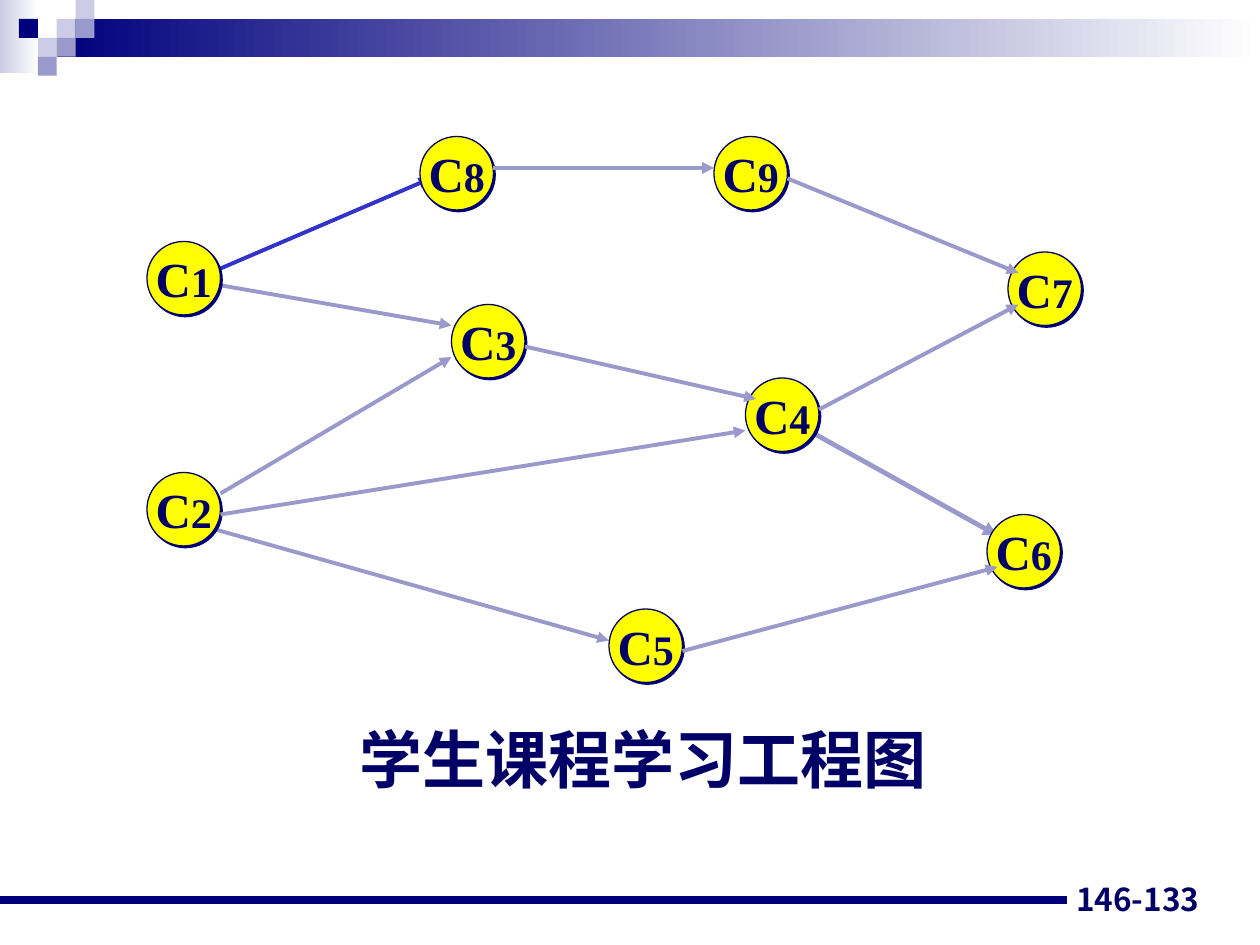
from lxml import etree
from pptx import Presentation
from pptx.dml.color import RGBColor
from pptx.enum.shapes import MSO_CONNECTOR, MSO_SHAPE
from pptx.enum.text import MSO_ANCHOR, MSO_AUTO_SIZE, PP_ALIGN
from pptx.oxml.ns import qn
from pptx.util import Emu, Pt

RECT, OVAL = MSO_SHAPE.RECTANGLE, MSO_SHAPE.OVAL
STRAIGHT = MSO_CONNECTOR.STRAIGHT
TOP, MIDDLE, BOTTOM = MSO_ANCHOR.TOP, MSO_ANCHOR.MIDDLE, MSO_ANCHOR.BOTTOM
LEFT, CENTER, RIGHT = PP_ALIGN.LEFT, PP_ALIGN.CENTER, PP_ALIGN.RIGHT
GROW = MSO_AUTO_SIZE.SHAPE_TO_FIT_TEXT

PX = 7620  # 120 px to the inch
SERIF, SANS = "Times New Roman", "Noto Sans CJK JP"
NAVY, INK, LILAC, PALE = "00007D", "000066", "9999CC", "CCCCE6"
BLUE, YELLOW, WHITE = "3333CC", "FFFF00", "FFFFFF"
CELL, NODE = 18, 70

# Header squares: column, row, colour
SQUARES = [(3, 1, PALE), (4, 0, PALE), (4, 1, LILAC), (2, 2, PALE),
           (1, 1, NAVY), (3, 2, LILAC), (2, 3, LILAC)]

# Courses: number, left, top
NODES = [(8, 400, 130), (3, 430, 290), (5, 580, 580), (4, 710, 360),
         (9, 680, 130), (6, 940, 490), (7, 960, 240), (1, 140, 230),
         (2, 140, 450)]

# Arrows: x1, y1, x2, y2, colour, width
EDGES_BEHIND = [(770, 410, 950, 510, LILAC, 2.75),
                (190, 500, 580, 610, LILAC, 2.25),
                (210, 470, 430, 340, LILAC, 2.25),
                (200, 270, 430, 310, LILAC, 2.25),
                (200, 260, 410, 170, BLUE, 2.25)]
EDGES_FRONT = [(470, 160, 680, 160, LILAC, 2.25),
               (500, 330, 720, 380, LILAC, 2.25),
               (210, 490, 710, 410, LILAC, 2.25),
               (750, 170, 970, 260, LILAC, 2.25),
               (780, 390, 970, 290, LILAC, 2.25),
               (650, 620, 950, 540, LILAC, 2.25)]


def px(*values):
    return [Emu(v * PX) for v in values]


def rgb(code):
    return RGBColor.from_string(code)


def add_rect(s, x, y, w, h, *colors):
    """Borderless rectangle: one colour is solid, two make a gradient."""
    sp = s.shapes.add_shape(RECT, *px(x, y, w, h))
    sp.shadow.inherit = False
    sp.line.fill.background()
    if len(colors) == 1:
        sp.fill.solid()
        sp.fill.fore_color.rgb = rgb(colors[0])
        return
    sp.fill.gradient()
    sp.fill.gradient_angle = 0
    for i, (stop, color) in enumerate(zip(sp.fill.gradient_stops, colors)):
        stop.position = i
        stop.color.rgb = rgb(color)


def add_line(s, x1, y1, x2, y2, color, width, arrow=True):
    cxn = s.shapes.add_connector(STRAIGHT, *px(x1, y1, x2, y2))
    cxn.line.color.rgb = rgb(color)
    cxn.line.width = Pt(width)
    if arrow:
        ln = cxn.line._get_or_add_ln()
        etree.SubElement(ln, qn("a:tailEnd"), type="triangle")
    etree.SubElement(cxn._element.spPr, qn("a:effectLst"))


def set_font(p, name):
    p.font.name = name
    p.font.bold = True
    p.font.color.rgb = rgb(INK)


def add_text(s, x, y, w, h, text, size, font, align, anchor, wrap):
    tf = s.shapes.add_textbox(*px(x, y, w, h)).text_frame
    tf.word_wrap = wrap
    tf.vertical_anchor = anchor
    if not wrap:
        tf.auto_size = GROW
    p = tf.paragraphs[0]
    p.alignment = align
    set_font(p, font)
    p.font.size = Pt(size)
    p.add_run().text = text


def add_hard_shadow(sp):
    effects = etree.SubElement(sp._element.spPr, qn("a:effectLst"))
    shadow = etree.SubElement(effects, qn("a:outerShdw"), dist="17961",
                              dir="2700000", algn="ctr", rotWithShape="0")
    etree.SubElement(shadow, qn("a:srgbClr"), val=NAVY)


def add_node(s, number, x, y):
    sp = s.shapes.add_shape(OVAL, *px(x, y, NODE, NODE))
    sp.fill.solid()
    sp.fill.fore_color.rgb = rgb(YELLOW)
    sp.line.color.rgb = rgb(INK)
    sp.line.width = Pt(0.75)
    add_hard_shadow(sp)
    tf = sp.text_frame
    tf.word_wrap = False
    tf.vertical_anchor = MIDDLE
    p = tf.paragraphs[0]
    p.alignment = CENTER
    set_font(p, SERIF)
    for text, size in (("C", 28), (str(number), 24)):
        r = p.add_run()
        r.text = text
        r.font.size = Pt(size)


def main():
    prs = Presentation()
    prs.slide_width, prs.slide_height = px(1200, 900)
    s = prs.slides.add_slide(prs.slide_layouts[6])

    # Header band and squares
    add_rect(s, 0, 0, 37, 70, PALE, WHITE)
    add_rect(s, 3 * CELL, CELL, 1146, 2 * CELL, NAVY, WHITE)
    for col, row, color in SQUARES:
        add_rect(s, col * CELL, row * CELL, CELL, CELL, color)

    # Footer rule and page number
    add_line(s, 0, 857, 1016, 857, NAVY, 4.5, arrow=False)
    add_text(s, 874, 820, 280, 60, "146-133", 18, SANS, RIGHT, BOTTOM, True)

    # Course graph and its caption
    for edge in EDGES_BEHIND:
        add_line(s, *edge)
    add_text(s, 331, 680, 564, 84, "学生课程学习工程图", 36, SERIF, LEFT, TOP,
             False)
    for node in NODES:
        add_node(s, *node)
    for edge in EDGES_FRONT:
        add_line(s, *edge)

    prs.save("out.pptx")


if __name__ == "__main__":
    main()
